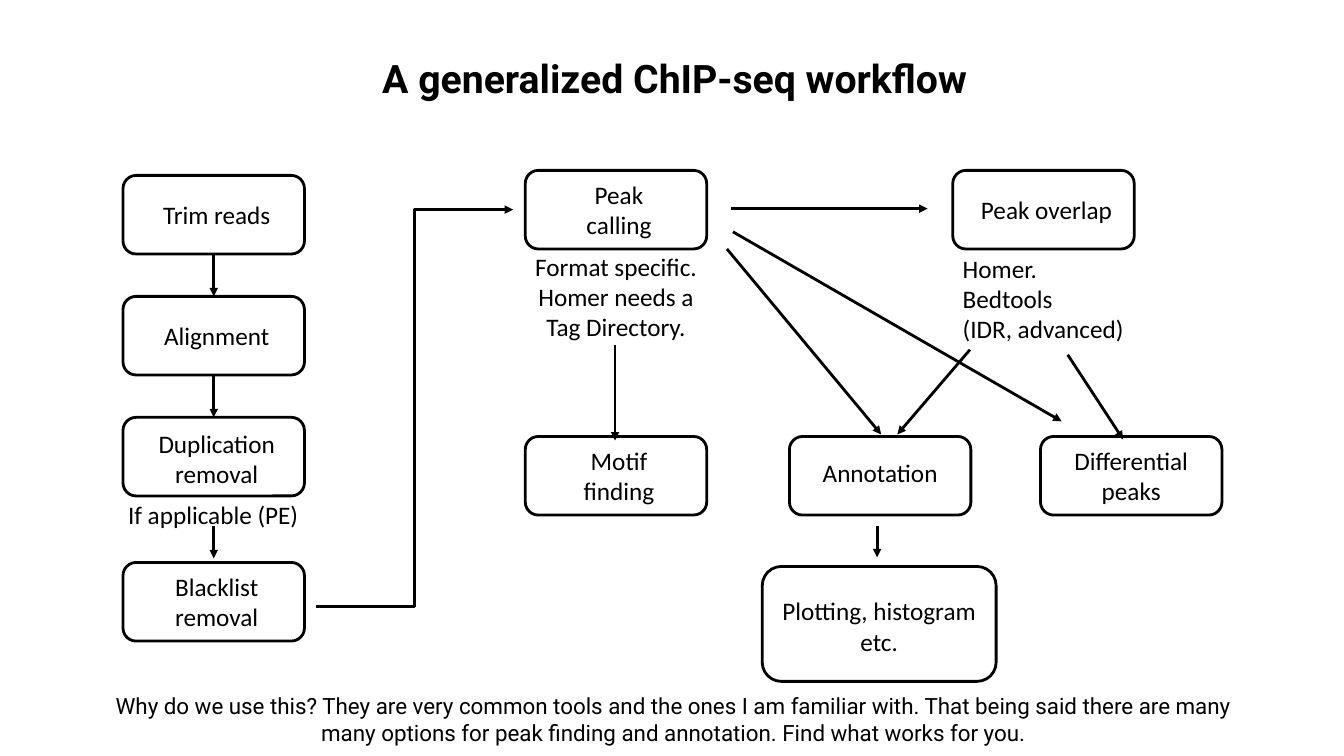
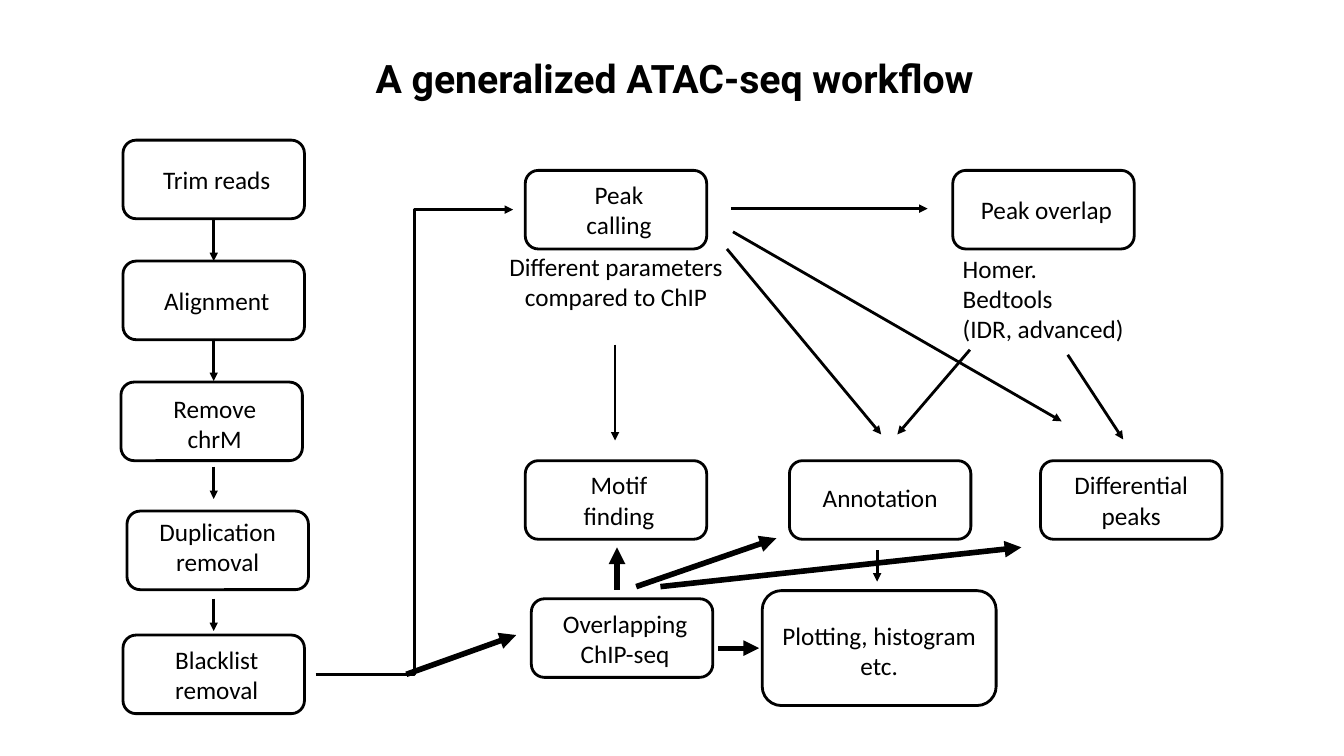
"""Build two sequencing workflow slides."""
from lxml import etree
from pptx import Presentation
from pptx import util as u
from pptx.dml.color import RGBColor
from pptx.enum import shapes, text
from pptx.oxml import ns

COLORS = {"ink": "000000", "paper": "FFFFFF"}
STEP_SIZE = (1.8, 0.78)
PLOT_SIZE = (2.32, 1.14)
NUDGE = (0.03, 0)
FORMATS = {
    "title": {"name": "Roboto", "size": u.Pt(28), "bold": True},
    "remark": {"name": "Roboto", "size": u.Pt(16)},
    "label": {"name": "Calibri", "size": u.Pt(18)},
}


def color(key):
    """Return a palette colour."""
    return RGBColor.from_string(COLORS[key])


def write(frame, lines, style, align=text.PP_ALIGN.CENTER):
    """Fill a text frame with one paragraph per line."""
    for index, line in enumerate(lines):
        paragraph = frame.add_paragraph() if index else frame.paragraphs[0]
        paragraph.alignment = align
        run = paragraph.add_run()
        run.text = line
        for key, value in FORMATS[style].items():
            setattr(run.font, key, value)
        run.font.color.rgb = color("ink")


def add_note(slide, box, lines, style="label", align=text.PP_ALIGN.CENTER):
    """Place free text in a box of left, top, width and height."""
    frame = slide.shapes.add_textbox(*map(u.Inches, box)).text_frame
    frame.word_wrap = True
    write(frame, lines, style, align)


def add_step(slide, left, top, lines, nudge=NUDGE, size=STEP_SIZE):
    """Place a rounded step whose label sits slightly off centre."""
    step = slide.shapes.add_shape(
        shapes.MSO_SHAPE.ROUNDED_RECTANGLE, *map(u.Inches, (left, top, *size)))
    step.shadow.inherit = False
    step.fill.background()
    step.line.color.rgb = color("ink")
    step.line.width = u.Pt(2)
    across, down = nudge
    layout = {
        "margin_left": u.Inches(2 * across), "margin_right": 0,
        "margin_top": u.Inches(max(2 * down, 0)),
        "margin_bottom": u.Inches(max(-2 * down, 0)),
        "word_wrap": False, "vertical_anchor": text.MSO_ANCHOR.MIDDLE,
    }
    for key, value in layout.items():
        setattr(step.text_frame, key, value)
    write(step.text_frame, lines, "label")


def add_arrow(slide, origin, ends, width=2, kind=shapes.MSO_CONNECTOR.STRAIGHT):
    """Draw an arrow between two points measured from the origin."""
    left, top = origin
    x1, y1, x2, y2 = ends
    points = (left + x1, top + y1, left + x2, top + y2)
    arrow = slide.shapes.add_connector(kind, *map(u.Inches, points))
    arrow.line.color.rgb = color("ink")
    arrow.line.width = u.Pt(width)
    outline = arrow.line._get_or_add_ln()
    etree.SubElement(outline, ns.qn("a:tailEnd"), type="triangle")
    etree.SubElement(arrow._element.spPr, ns.qn("a:effectLst"))


def add_preparation(slide, left, top, steps, arrows):
    """Stack the read preparation steps and the arrows between them."""
    for across, down, lines, nudge in steps:
        add_step(slide, left + across, top + down, lines, nudge)
    for start, end in arrows:
        add_arrow(slide, (left, top), (0.9, start, 0.9, end))


def add_analysis(slide, left, top, drop, calling_note, note_width):
    """Lay out peak calling and its results, with the lower rows dropped."""
    row = top + 2.64 + drop
    add_step(slide, left, top, ["Peak", "calling"])
    add_step(slide, left + 4.24, top, ["Peak overlap"])
    add_step(slide, left, row, ["Motif", "finding"])
    add_step(slide, left + 2.62, row, ["Annotation"], (0, -0.03))
    add_step(slide, left + 5.11, row, ["Differential", "peaks"], (0, 0))
    add_step(slide, left + 2.35, row + 1.29, ["Plotting, histogram", "etc."],
             (0, 0.02), PLOT_SIZE)
    add_note(slide, (left + 0.9 - note_width / 2, top + 0.75, note_width, 1.01),
             calling_note)
    add_note(slide, (left + 4.24, top + 0.77, 1.97, 1.01),
             ["Homer.", "Bedtools", "(IDR, advanced)"],
             align=text.PP_ALIGN.LEFT)
    flows = [
        (0.89, 1.73, 0.89, 2.68), (2.04, 0.38, 3.99, 0.38),
        (2, 0.78, 3.53, 2.62), (2.06, 0.61, 5.32, 2.49),
        (4.41, 1.78, 3.69, 2.62), (5.38, 1.83, 5.93, 2.67),
        (3.49, 3.53 + drop, 3.49, 3.84 + drop),
    ]
    for ends in flows:
        add_arrow(slide, (left, top), ends)


def add_overlap(slide, left, top):
    """Place the comparison step with its heavy arrows."""
    add_step(slide, left, top, ["Overlapping", "ChIP-seq"])
    flows = [
        (-1.24, 0.75, -0.15, 0.36, 4), (0.85, -0.09, 0.85, -0.51, 4),
        (1.85, 0.49, 2.26, 0.49, 3.75), (1.04, -0.12, 2.43, -0.6, 4),
        (1.28, -0.12, 4.86, -0.51, 4),
    ]
    for *ends, width in flows:
        add_arrow(slide, (left, top), ends, width)


def add_workflow(deck, assay, bridge_start):
    """Start a slide with its title and the bridge to peak calling."""
    slide = deck.slides.add_slide(deck.slide_layouts[6])
    slide.background.fill.solid()
    slide.background.fill.fore_color.rgb = color("paper")
    add_note(slide, (0.97, 0.49, 11.44, 0.56),
             [f"A generalized {assay} workflow"], "title")
    add_arrow(slide, (3.13, 2.08), (0, bridge_start, 1.96, 0),
              kind=shapes.MSO_CONNECTOR.ELBOW)
    return slide


def build_chip(deck):
    """Build the ChIP-seq slide."""
    slide = add_workflow(deck, "ChIP-seq", 3.94)
    steps = [
        (0, 0, ["Trim reads"], NUDGE), (0, 1.2, ["Alignment"], NUDGE),
        (0, 2.4, ["Duplication", "removal"], (0.03, 0.02)),
        (0, 3.84, ["Blacklist", "removal"], NUDGE),
    ]
    add_preparation(slide, 1.22, 1.74, steps,
                    [(0.78, 1.2), (1.98, 2.4), (3.48, 3.8)])
    add_note(slide, (1.13, 4.9, 1.97, 0.42), ["If applicable (PE)"])
    add_analysis(slide, 5.21, 1.69, 0,
                 ["Format specific.", "Homer needs a", "Tag Directory."], 1.97)
    add_note(slide, (0.96, 6.82, 11.44, 0.56), [
        "Why do we use this? They are very common tools and the ones I am "
        "familiar with. That being said there are many many options for peak "
        "finding and annotation. Find what works for you."], "remark")


def build_atac(deck):
    """Build the ATAC-seq slide."""
    slide = add_workflow(deck, "ATAC-seq", 4.61)
    steps = [
        (0, 0, ["Trim reads"], NUDGE), (0, 1.2, ["Alignment"], NUDGE),
        (-0.02, 2.4, ["Remove", "chrM"], (0.03, 0.02)),
        (0.04, 3.68, ["Duplication", "removal"], (0, -0.04)),
        (0, 4.91, ["Blacklist", "removal"], NUDGE),
    ]
    add_preparation(slide, 1.22, 1.39, steps,
                    [(0.78, 1.2), (1.97, 2.39), (3.24, 3.56), (4.55, 4.87)])
    add_analysis(slide, 5.21, 1.69, 0.24,
                 ["Different parameters compared to ChIP"], 2.37)
    add_overlap(slide, 5.27, 5.94)


def main():
    """Build and save the deck."""
    deck = Presentation()
    deck.slide_width, deck.slide_height = u.Inches(13.33), u.Inches(7.5)
    build_chip(deck)
    build_atac(deck)
    deck.save("out.pptx")


if __name__ == "__main__":
    main()
